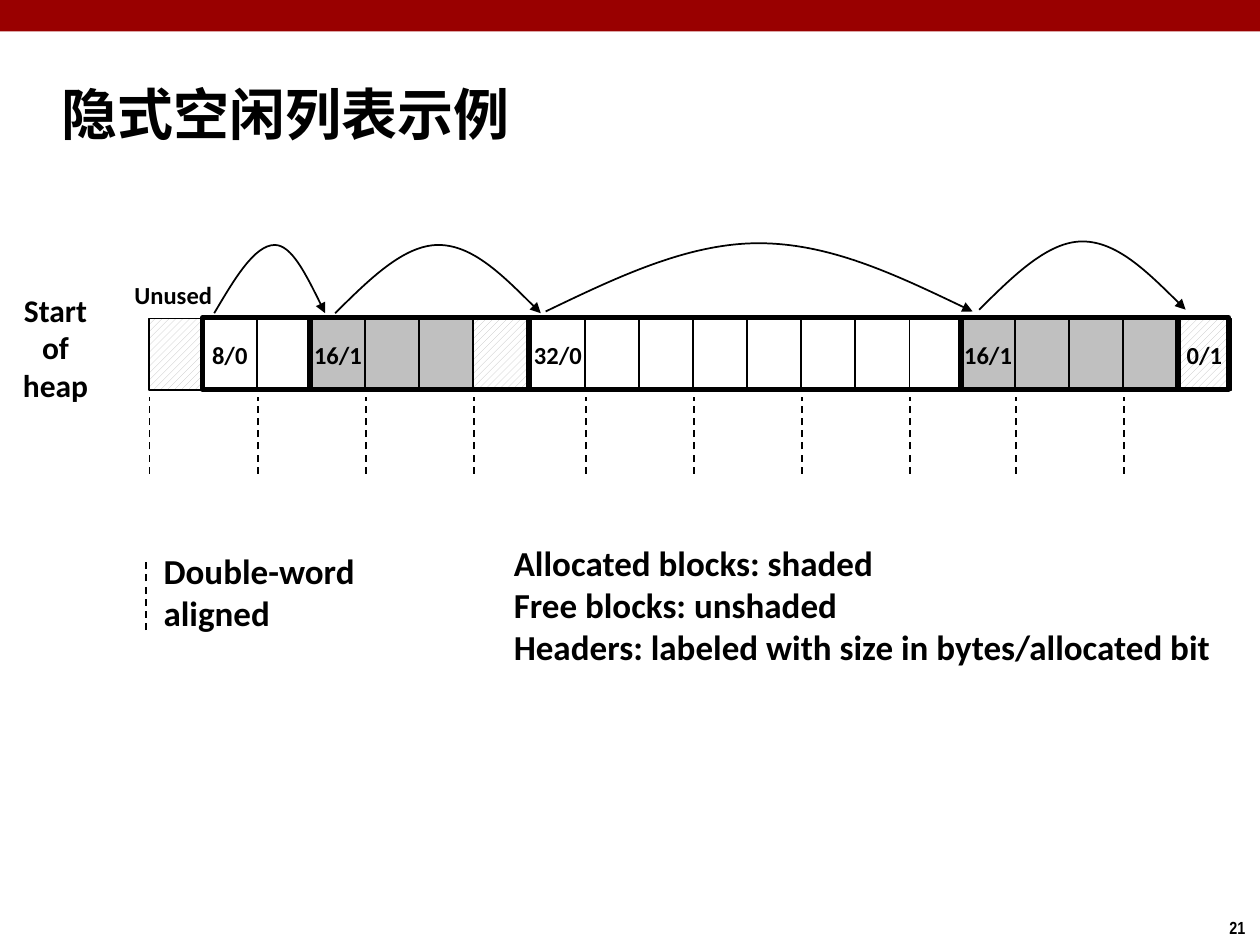
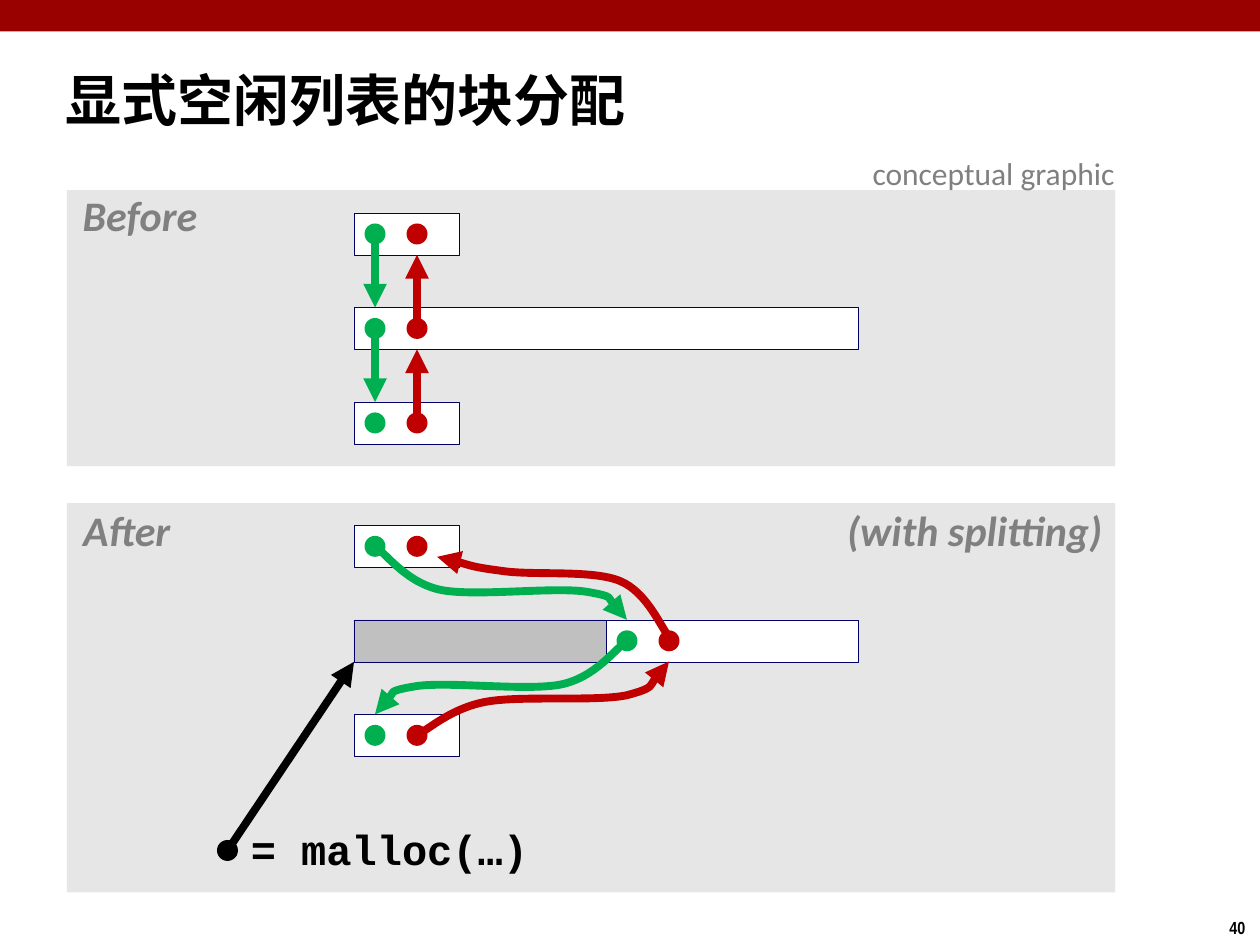
from dataclasses import dataclass
from itertools import chain
from lxml.etree import SubElement
from pptx import Presentation
from pptx.dml.color import RGBColor
from pptx.enum.dml import MSO_LINE, MSO_PATTERN
from pptx.enum.shapes import MSO_CONNECTOR, MSO_SHAPE
from pptx.enum.text import MSO_ANCHOR, MSO_AUTO_SIZE, PP_ALIGN
from pptx.oxml.ns import qn
from pptx.util import Pt


@dataclass(frozen=True)
class Theme:
    # Colours
    band: str = "990000"
    ink: str = "000000"
    paper: str = "FFFFFF"
    shaded: str = "C0C0C0"
    panel: str = "E6E6E6"
    muted: str = "808080"
    navy: str = "000066"
    green: str = "00B050"
    red: str = "C00000"
    # Fonts and type sizes
    body: str = "Calibri"
    code: str = "Courier New"
    number: str = "Arial Narrow"
    title_size: int = 32
    label_size: int = 24
    legend_size: int = 20
    note_size: int = 18
    cell_size: int = 14
    number_size: int = 10
    # Line widths
    hair: float = 0.26
    thin: float = 1
    bold: float = 3
    pointer: float = 4.5


T = Theme()
HATCH = "hatch"
LEFT, CENTER = PP_ALIGN.LEFT, PP_ALIGN.CENTER
TOP, MIDDLE = MSO_ANCHOR.TOP, MSO_ANCHOR.MIDDLE


class Deck:
    """Holds the presentation, its style and the current slide."""

    def __init__(self, width, height):
        self.prs = Presentation()
        self.prs.slide_width, self.prs.slide_height = Pt(width), Pt(height)
        self.width = width
        self.s = None

    def slide(self, number, title, box, spacing=1.0):
        self.s = self.prs.slides.add_slide(self.prs.slide_layouts[6])
        self.rect(0, 0, self.width, 18, T.band)
        self.text(695.5, 520.5, 24.5, 19.5, number, size=T.number_size, name=T.number)
        self.text(*box, title, size=T.title_size, anchor=MIDDLE, wrap=True,
                  grow=False, spacing=spacing)

    def fill_text(self, tf, text, size, name=T.body, color=T.ink, bold=True, italic=False,
                  align=LEFT, anchor=TOP, wrap=False, spacing=1.0):
        tf.word_wrap, tf.vertical_anchor = wrap, anchor
        font = {"name": name, "size": Pt(size), "bold": bold, "italic": italic}
        for i, line in enumerate(text.split("\n")):
            p = tf.add_paragraph() if i else tf.paragraphs[0]
            p.alignment, p.line_spacing = align, spacing
            r = p.add_run()
            r.text = line
            for key, value in font.items():
                setattr(r.font, key, value)
            r.font.color.rgb = RGBColor.from_string(color)

    def text(self, x, y, w, h, text, inset=None, grow=True, **style):
        sp = self.s.shapes.add_textbox(Pt(x), Pt(y), Pt(w), Pt(h))
        tf = sp.text_frame
        if inset is not None:
            for side in ("left", "top", "right", "bottom"):
                setattr(tf, f"margin_{side}", Pt(inset))
        self.fill_text(tf, text, **style)
        tf.auto_size = MSO_AUTO_SIZE.SHAPE_TO_FIT_TEXT if grow else MSO_AUTO_SIZE.NONE

    def paint(self, sp, fill=None, line=None, width=T.thin):
        sp.shadow.inherit = False
        if fill == HATCH:
            sp.fill.patterned()
            sp.fill.pattern = MSO_PATTERN.WIDE_UPWARD_DIAGONAL
            sp.fill.fore_color.rgb = RGBColor.from_string(T.shaded)
            sp.fill.back_color.rgb = RGBColor.from_string(T.paper)
        elif fill:
            sp.fill.solid()
            sp.fill.fore_color.rgb = RGBColor.from_string(fill)
        else:
            sp.fill.background()
        if line:
            self.stroke(sp, line, width)
        else:
            sp.line.fill.background()

    def stroke(self, sp, color, width, dash=False, arrow=False):
        sp.line.color.rgb = RGBColor.from_string(color)
        sp.line.width = Pt(width)
        if dash:
            sp.line.dash_style = MSO_LINE.DASH
        if arrow:
            ln = sp._element.spPr.find(qn("a:ln"))
            SubElement(ln, qn("a:tailEnd"), type="triangle")

    def rect(self, x, y, w, h, fill=None, line=None, width=T.thin, label=None):
        sp = self.s.shapes.add_shape(MSO_SHAPE.RECTANGLE, Pt(x), Pt(y), Pt(w), Pt(h))
        self.paint(sp, fill, line, width)
        if label:
            self.fill_text(sp.text_frame, label, T.cell_size, align=CENTER, anchor=MIDDLE)

    def dot(self, x, y, color):
        sp = self.s.shapes.add_shape(MSO_SHAPE.OVAL, Pt(x - 6), Pt(y - 6), Pt(12), Pt(12))
        self.paint(sp, color)

    def line(self, x1, y1, x2, y2, color=T.ink, width=T.thin, **ends):
        sp = self.s.shapes.add_connector(MSO_CONNECTOR.STRAIGHT, Pt(x1), Pt(y1), Pt(x2), Pt(y2))
        self.stroke(sp, color, width, **ends)
        SubElement(sp._element.spPr, qn("a:effectLst"))

    def curve(self, points, color=T.ink, width=T.thin):
        """Arrow along cubic curves: a start, then three points a segment."""
        start, *rest = [(Pt(x), Pt(y)) for x, y in points]
        builder = self.s.shapes.build_freeform(*start)
        builder.add_line_segments(rest, close=False)
        sp = builder.convert_to_shape()
        self.paint(sp)
        self.stroke(sp, color, width, arrow=True)
        # Turn each three straight steps into one cubic segment
        steps = list(sp._element.iter(qn("a:lnTo")))
        for i in range(0, len(steps), 3):
            cubic = SubElement(steps[i].getparent(), qn("a:cubicBezTo"))
            for step in steps[i:i + 3]:
                cubic.append(step[0])
                step.getparent().remove(step)

    def arc(self, x1, peak, x2, base, height=39):
        xs = [x1, x1 + (peak - x1) / 3, x1 + (peak - x1) * 2 / 3, peak,
              peak + (x2 - peak) / 3, peak + (x2 - peak) * 2 / 3, x2]
        rises = [0, 0.5, 1, 1, 1, 0.5, 0]
        self.curve([(x, base - height * rise) for x, rise in zip(xs, rises)])

    def node(self, x, y, w=60, fill=T.paper):
        self.rect(x, y, w, 24, fill, T.navy, T.hair)

    def links(self, x, y):
        """Next and previous dots of a free block."""
        self.dot(x + 12, y + 12, T.green)
        self.dot(x + 36, y + 12, T.red)


deck = Deck(720, 540)

# Slide 1: implicit free list
deck.slide("21", "隐式空闲列表示例", (28, 34.5, 597.5, 60))
deck.text(5.75, 162, 52, 73, "Start\nof\nheap", size=T.note_size, align=CENTER, anchor=MIDDLE)

# Heap words, in three evenly spaced runs
PITCH, CELL_Y, CELL_H = 30.9, 182, 41
runs = [(85, 7), (303.4, 8), (549.2, 5)]
cells = list(chain.from_iterable([x + i * PITCH for i in range(n)] for x, n in runs))
fills = ([HATCH] + [T.paper] * 2 + [T.shaded] * 3 + [HATCH]
         + [T.paper] * 8 + [T.shaded] * 4 + [HATCH])
headers = {1: "8/0", 3: "16/1", 7: "32/0", 15: "16/1", 19: "0/1"}
for i, (x, fill) in enumerate(zip(cells, fills)):
    deck.rect(x, CELL_Y, PITCH, CELL_H, fill, T.ink, label=headers.get(i))

# Block outlines
edges = [115.9, 177.2, 302.5, 549.2, 673.2, 702]
for left, right in zip(edges, edges[1:]):
    deck.rect(left, CELL_Y - 0.5, right - left, CELL_H, line=T.ink, width=T.bold)
deck.text(66.25, 155, 65.5, 26.5, "Unused", size=T.cell_size, align=CENTER, anchor=MIDDLE)

# Jumps from header to header
for jump in [(122.4, 157, 185.8, 179), (191.5, 250.5, 309, 179),
             (311.8, 433.5, 555.8, 178), (559.5, 618.5, 677.5, 177)]:
    deck.arc(*jump)

# Double-word boundaries
for x in cells[::2]:
    deck.line(x + 0.5, 270.7, x + 0.5, 226.8, dash=True)

# Legend
deck.line(83.5, 360, 83.5, 320.5, dash=True)
deck.text(86.4, 310.5, 147, 55.5, "Double-word\naligned", size=T.legend_size,
          anchor=MIDDLE, wrap=True)
deck.text(286.5, 306, 417, 80, "Allocated blocks: shaded\nFree blocks: unshaded\n"
          "Headers: labeled with size in bytes/allocated bit", size=T.legend_size)

# Slide 2: explicit free list
deck.slide("40", "显式空闲列表的块分配", (30.25, 36.75, 630, 45.5), spacing=0.87)
for y, h in [(287.5, 222.5), (108.7, 157.7)]:
    deck.rect(38.2, y, 599, h, T.panel)

NODE_X, STEP, REACH, HALF = 202.3, 54, 42, 144
GREEN_X, RED_X = NODE_X + 12, NODE_X + 36
before = [121.7 + i * STEP for i in range(3)]
after = [300.2 + i * STEP for i in range(3)]
split_x = NODE_X + HALF

# Before: three linked free blocks
for y, w in zip(before, (60, 2 * HALF, 60)):
    deck.node(NODE_X, y, w)
for y in before:
    deck.links(NODE_X, y)
for upper, lower in zip(before, before[1:]):
    deck.line(GREEN_X, upper + 12, GREEN_X, upper + 12 + REACH, T.green, T.pointer, arrow=True)
    deck.line(RED_X, lower + 12, RED_X, lower + 12 - REACH, T.red, T.pointer, arrow=True)

# After: the middle block is split
for x, y in [(NODE_X, after[0]), (split_x, after[1]), (NODE_X, after[2])]:
    deck.node(x, y, HALF if x == split_x else 60)
    deck.links(x, y)
deck.node(NODE_X, after[1], HALF, T.shaded)

# Next pointers: the second is the first one mirrored and a step lower
sweep = [(0, 0), (6.5, 4.3), (18, 21), (38, 25), (58, 28.8), (103, 23),
         (121, 26), (138, 28.8), (140, 39), (HALF, REACH)]
for x, y, way in [(GREEN_X, after[0] + 12, 1), (GREEN_X + HALF, after[1] + 12, -1)]:
    deck.curve([(x + way * dx, y + dy) for dx, dy in sweep], T.green, T.pointer)

# Previous pointers
for points in (
    [(383, 365), (378, 359.3), (370, 338.4), (354.2, 332), (338.4, 325.4),
     (303.8, 329), (286.6, 326.2), (269.3, 324), (257.8, 319.7), (249.8, 318.2)],
    [(238.3, 420), (244.8, 417), (257.8, 404.6), (278, 401), (298, 397.4),
     (339.8, 401), (357.8, 397.4), (375, 393), (377.3, 382.3), (382.3, 378)],
):
    deck.curve(points, T.red, T.pointer)

# Pointer returned by malloc
deck.dot(130, 486, T.ink)
deck.line(130, 486, NODE_X, after[1] + 24, T.ink, T.pointer, arrow=True)

# Labels
label = {"size": T.label_size, "align": CENTER, "spacing": 0.9, "inset": 3.6}
heading = {**label, "color": T.muted, "italic": True}
deck.text(43.2, 108, 73.5, 34, "Before", **heading)
deck.text(43.2, 288, 58.5, 34, "After", **heading)
deck.text(479.5, 288, 155, 34, "(with splitting)", **heading)
deck.text(139, 470, 167, 34, "= malloc(…)", name=T.code, **label)
deck.text(491.5, 84.5, 156, 29, "conceptual graphic", size=T.note_size, color=T.muted, bold=False)

deck.prs.save("out.pptx")
